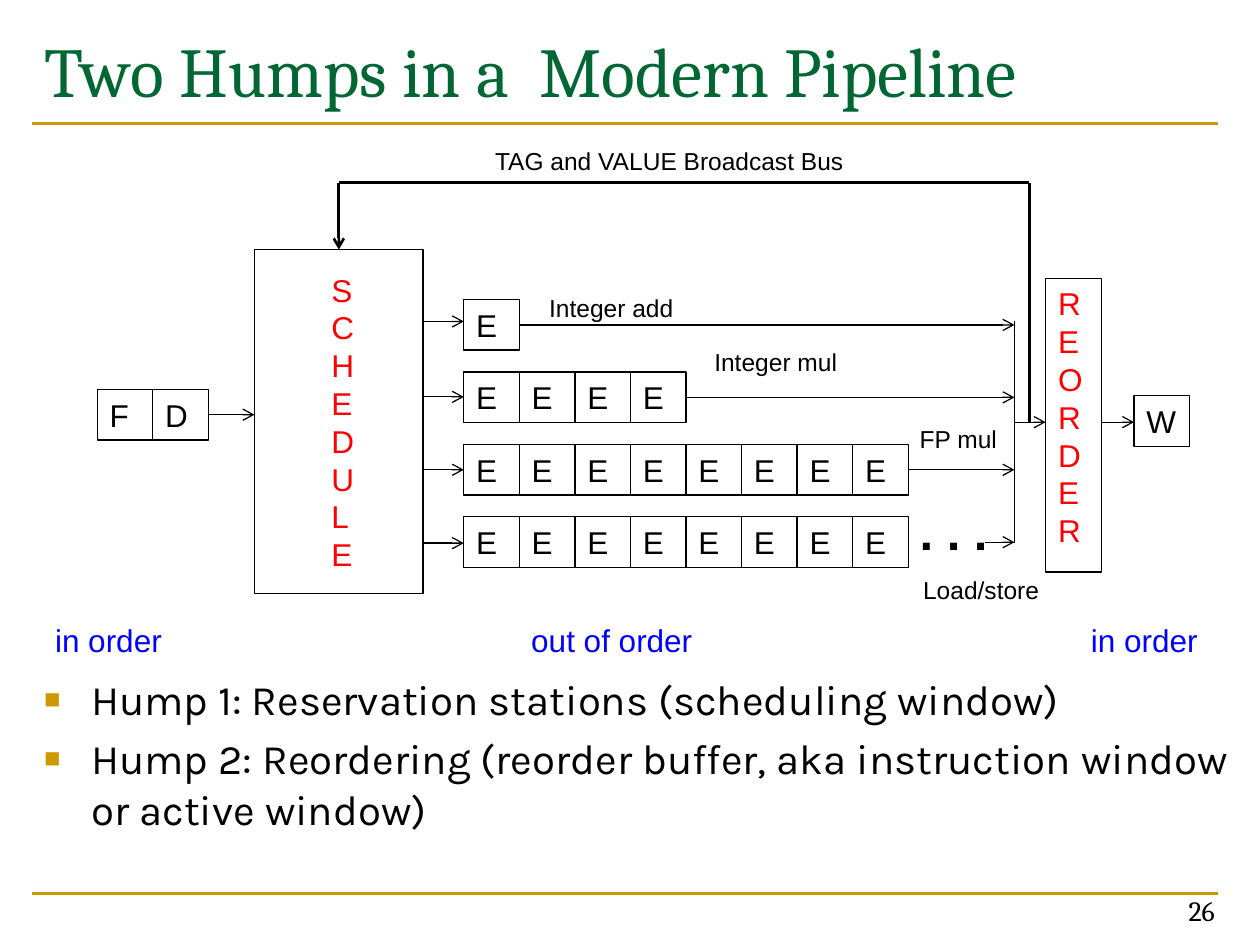
"""Build the slide on the two humps in a modern pipeline."""
from dataclasses import dataclass
from typing import Any, Optional

from lxml import etree
from pptx import Presentation
from pptx import util as u
from pptx.dml import color
from pptx.enum import shapes, text
from pptx.oxml import ns


@dataclass(frozen=True)
class Theme:
    black: str = "000000"
    white: str = "FFFFFF"
    green: str = "006633"
    gold: str = "CC9900"
    red: str = "FF0000"
    blue: str = "0000FF"
    heading: str = "Cambria"
    body: str = "Karla"
    diagram: str = "Arial"
    title_size: int = 40
    dots_size: int = 28
    body_size: int = 24
    stage_size: int = 18
    page_size: int = 16
    unit_size: int = 14
    thin: float = 0.75
    thick: float = 1.5


@dataclass(frozen=True)
class Box:
    left: float
    top: float
    width: float
    height: float

    def lengths(self) -> list[u.Length]:
        return [u.Cm(v) for v in (self.left, self.top, self.width, self.height)]


@dataclass(frozen=True)
class Label:
    wording: str
    box: Box
    size: int
    ink: str = "000000"
    font: str = "Arial"
    bold: bool = False
    wrap: bool = False


@dataclass(frozen=True)
class Wire:
    x1: float
    y1: float
    x2: float
    y2: float
    arrow: bool = True
    weight: float = 0.75
    ink: str = "000000"


@dataclass(frozen=True)
class Lane:
    stages: int
    entry_y: float
    exit_x: Optional[float] = None


THEME = Theme()
CELL_W, CELL_H = 1.12, 1.02
LANES_X, LANES_Y, LANE_PITCH = 9.35, 6.04, 1.46
FORK_X, JOIN_X, BUS_X, BUS_Y = 8.53, 20.45, 20.75, 3.68
COMMIT_Y = 8.51


def rgb(ink: str) -> color.RGBColor:
    return color.RGBColor.from_string(ink)


def apply(target: Any, values: dict[str, Any]) -> None:
    for name, value in values.items():
        setattr(target, name, value)


def write(frame: Any, wording: str, size: int, ink: str, font: str, bold: bool = False) -> None:
    frame.text = wording
    for paragraph in frame.paragraphs:
        paragraph.alignment = text.PP_ALIGN.LEFT
        for run in paragraph.runs:
            apply(run.font, {"size": u.Pt(size), "name": font, "bold": bold})
            run.font.color.rgb = rgb(ink)


def draw_label(slide: Any, label: Label) -> Any:
    frame = slide.shapes.add_textbox(*label.box.lengths()).text_frame
    apply(frame, {"word_wrap": label.wrap, "vertical_anchor": text.MSO_ANCHOR.TOP})
    write(frame, label.wording, label.size, label.ink, label.font, label.bold)
    return frame


def draw_stage(slide: Any, wording: str, box: Box, ink: str = THEME.black) -> None:
    stage = slide.shapes.add_shape(shapes.MSO_SHAPE.RECTANGLE, *box.lengths())
    stage.shadow.inherit = False
    stage.fill.solid()
    stage.fill.fore_color.rgb = rgb(THEME.white)
    stage.line.color.rgb = rgb(THEME.black)
    stage.line.width = u.Pt(THEME.thin)
    stage.text_frame.vertical_anchor = text.MSO_ANCHOR.TOP
    write(stage.text_frame, wording, THEME.stage_size, ink, THEME.diagram)


def draw_wire(slide: Any, wire: Wire) -> None:
    ends = [u.Cm(v) for v in (wire.x1, wire.y1, wire.x2, wire.y2)]
    link = slide.shapes.add_connector(shapes.MSO_CONNECTOR.STRAIGHT, *ends)
    link.line.color.rgb = rgb(wire.ink)
    link.line.width = u.Pt(wire.weight)
    if wire.arrow:
        etree.SubElement(link.line._get_or_add_ln(), ns.qn("a:tailEnd"), type="arrow")
    etree.SubElement(link._element.spPr, ns.qn("a:effectLst"))


def draw_lane(slide: Any, index: int, lane: Lane) -> None:
    top = LANES_Y + index * LANE_PITCH
    middle = top + CELL_H / 2
    for step in range(lane.stages):
        draw_stage(slide, "E", Box(LANES_X + step * CELL_W, top, CELL_W, CELL_H))
    start = lane.exit_x or LANES_X + lane.stages * CELL_W
    draw_wire(slide, Wire(FORK_X, lane.entry_y, LANES_X, lane.entry_y))
    draw_wire(slide, Wire(start, middle, JOIN_X, middle))


def draw_humps(slide: Any) -> None:
    humps = draw_label(slide, Label(
        "Hump 1: Reservation stations (scheduling window)\n"
        "Hump 2: Reordering (reorder buffer, aka instruction window or active window)",
        Box(0.64, 13.46, 24.46, 3.7), THEME.body_size, font=THEME.body, wrap=True))
    for paragraph in humps.paragraphs:
        paragraph.space_before = u.Pt(4.8)
        props = paragraph._p.get_or_add_pPr()
        props.set("marL", str(u.Cm(0.95)))
        props.set("indent", str(u.Cm(-0.95)))
        tint = etree.SubElement(props, ns.qn("a:buClr"))
        etree.SubElement(tint, ns.qn("a:srgbClr"), val=THEME.gold)
        etree.SubElement(props, ns.qn("a:buSzPct"), val="65000")
        etree.SubElement(props, ns.qn("a:buFont"), typeface=THEME.diagram)
        etree.SubElement(props, ns.qn("a:buChar"), char="■")


LANES = [Lane(1, 6.48), Lane(4, 8.0), Lane(8, 9.47), Lane(8, 10.95, exit_x=19.86)]

STAGES = [
    ("F", Box(1.96, 7.85, CELL_W, CELL_H), THEME.black),
    ("D", Box(1.96 + CELL_W, 7.85, CELL_W, CELL_H), THEME.black),
    ("", Box(5.13, 5.03, 3.4, 6.93), THEME.black),
    ("\n".join("REORDER"), Box(21.08, 5.61, CELL_W, 5.92), THEME.red),
    ("W", Box(22.86, 7.98, CELL_W, CELL_H), THEME.black),
]

WIRES = [
    *(Wire(0.64, y, 24.56, y, False, THEME.thick, THEME.gold) for y in (2.49, 18.01)),
    Wire(4.2, 8.36, 5.13, 8.36),
    *(Wire(x, 6.48, x, 10.95, False) for x in (FORK_X, JOIN_X)),
    Wire(JOIN_X, COMMIT_Y, 21.08, COMMIT_Y),
    Wire(22.2, COMMIT_Y, 22.86, COMMIT_Y),
    Wire(BUS_X, COMMIT_Y, BUS_X, BUS_Y, False, THEME.thick),
    Wire(BUS_X, BUS_Y, 6.83, BUS_Y, False, THEME.thick),
    Wire(6.83, BUS_Y, 6.83, 5.03, True, THEME.thick),
]

LABELS = [
    Label("Two Humps in a  Modern Pipeline", Box(0.64, 0.43, 23.93, 2.97),
          THEME.title_size, THEME.green, THEME.heading, wrap=True),
    Label("\n".join("SCHEDULE"), Box(6.43, 5.33, 0.97, 6.43), THEME.stage_size, THEME.red),
    Label(". . .", Box(18.29, 9.98, 1.9, 1.45), THEME.dots_size, bold=True),
    Label("Integer add", Box(10.82, 5.79, 3.02, 0.86), THEME.unit_size),
    Label("Integer mul", Box(14.15, 6.88, 3.0, 0.86), THEME.unit_size),
    Label("FP mul", Box(18.29, 8.43, 2.08, 0.86), THEME.unit_size),
    Label("Load/store", Box(18.36, 11.46, 3.4, 0.86), THEME.unit_size, wrap=True),
    Label("TAG and VALUE Broadcast Bus", Box(9.73, 2.82, 7.57, 0.86), THEME.unit_size),
    *(Label(order, Box(x, 12.4, width, 1.02), THEME.stage_size, THEME.blue)
      for order, x, width in (("in order", 0.86, 2.69), ("out of order", 10.46, 3.78),
                              ("in order", 21.74, 2.69))),
]


def main() -> None:
    deck = Presentation()
    apply(deck, {"slide_width": u.Cm(25.4), "slide_height": u.Cm(19.05)})
    slide = deck.slides.add_slide(deck.slide_layouts[6])
    for wording, box, ink in STAGES:
        draw_stage(slide, wording, box, ink)
    for index, lane in enumerate(LANES):
        draw_lane(slide, index, lane)
    for wire in WIRES:
        draw_wire(slide, wire)
    for label in LABELS:
        draw_label(slide, label)
    draw_humps(slide)
    page = draw_label(slide, Label("26", Box(18.82, 17.55, 5.92, 1.27), THEME.page_size,
                                   font=THEME.heading, wrap=True))
    page.vertical_anchor = text.MSO_ANCHOR.BOTTOM
    page.paragraphs[0].alignment = text.PP_ALIGN.RIGHT
    deck.save("out.pptx")


main()
